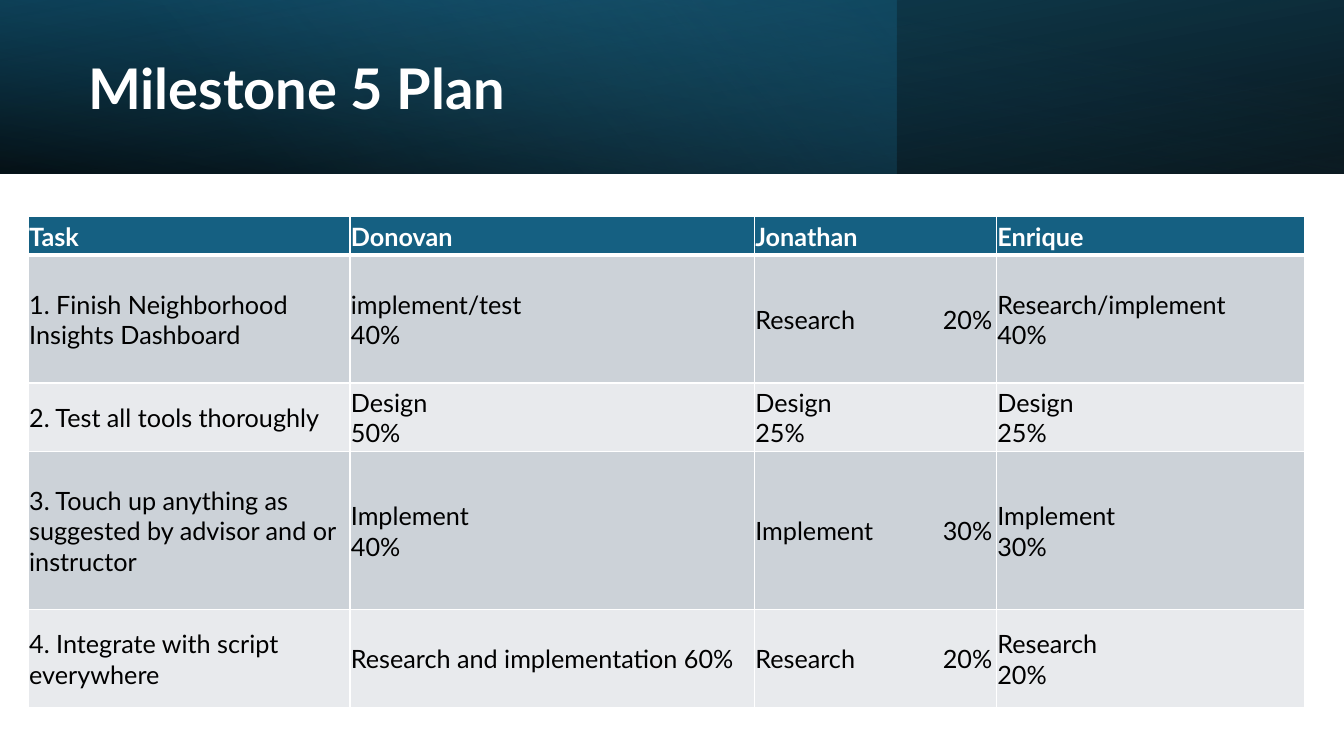
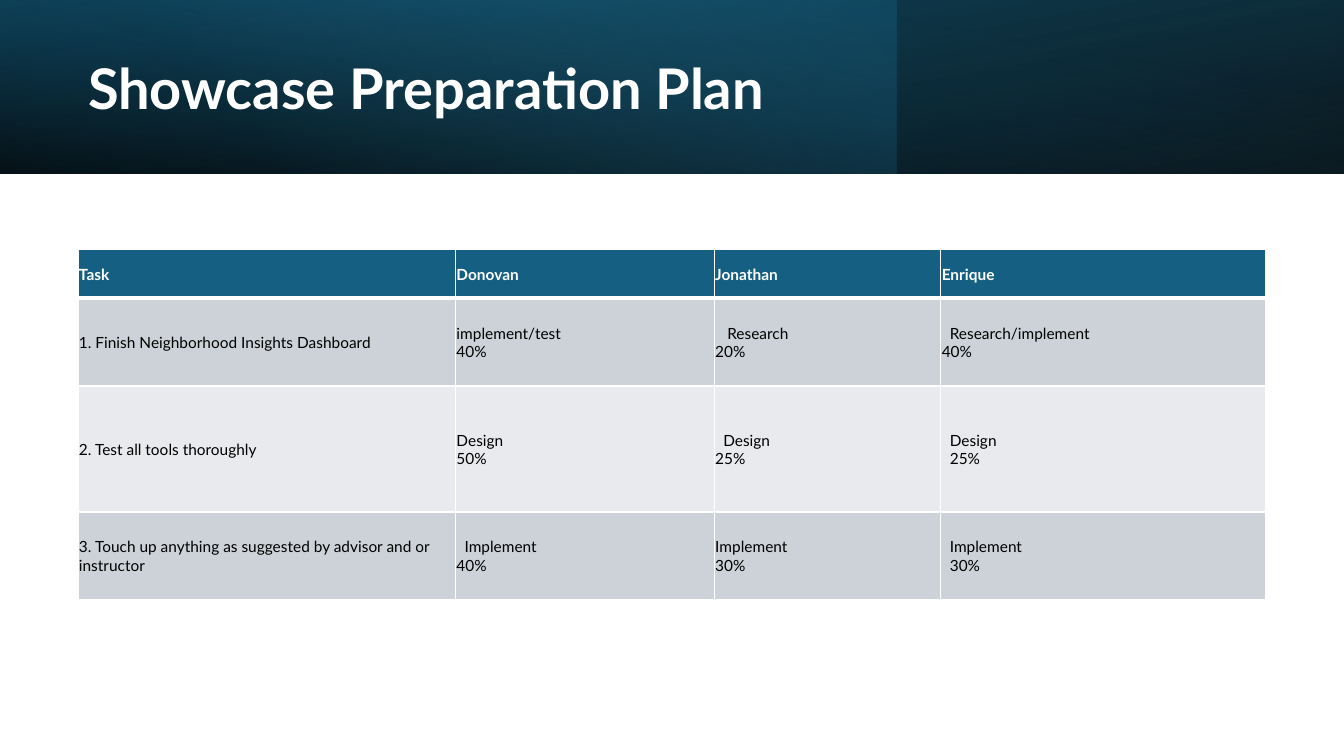
from lxml import etree
from pptx import Presentation
from pptx.dml.color import RGBColor
from pptx.enum.shapes import MSO_SHAPE
from pptx.enum.text import MSO_ANCHOR, MSO_AUTO_SIZE, PP_ALIGN
from pptx.oxml import parse_xml
from pptx.oxml.ns import nsdecls, qn
from pptx.util import Inches, Pt

RECTANGLE = MSO_SHAPE.RECTANGLE
MIDDLE = MSO_ANCHOR.MIDDLE
NO_AUTOFIT = MSO_AUTO_SIZE.NONE
LEFT = PP_ALIGN.LEFT

SLIDE_WIDTH, SLIDE_HEIGHT = Inches(13.33), Inches(7.5)
TITLE_ONLY = 5
FONT = "Lato"
COLORS = {
    "black": "000000",
    "white": "FFFFFF",
    "navy": "104862",
    "teal": "156082",
    "sky": "46B1E1",
    "odd_row": "CCD2D8",
    "even_row": "E8EAED",
}
BAND = (0, 0, 100, 22.93)
TITLE_IN_BAND = (5.8, 15.7, 57.9, 73.8)
BAND_LAYERS = [
    {"width": 100, "stops": [(0, "black", 96), (100, "navy", 100)],
     "angle": 100, "rotation": 180, "flip": True},
    {"width": 66.67, "stops": [(0, "teal", 41), (74, "sky", 0)],
     "angle": 140, "rotation": 0, "flip": False},
    {"width": 100, "stops": [(0, "black", 63), (78, "teal", 15)],
     "angle": 260, "rotation": 0, "flip": True},
]
HEADER = ["Task", "Donovan", "Jonathan", "Enrique"]
DASHBOARD = "1. Finish Neighborhood Insights Dashboard"
TESTING = "2. Test all tools thoroughly"
TOUCH_UP = "3. Touch up anything as suggested by advisor and or instructor"

PLANS = [
    {
        "title": "Milestone 5 Plan",
        "box": (2.1, 28.67, 95, 64.93),
        "columns": [3.19, 4.01, 2.4, 3.06],
        "row_heights": [0.38, 1.27, 0.68, 1.57, 0.97],
        "size": 18,
        "rows": [
            HEADER,
            [DASHBOARD, "implement/test\n40%", "Research\t20%", "Research/implement\n40%"],
            [TESTING, "Design\n50%", "Design\n25%", "Design\n25%"],
            [TOUCH_UP, "Implement\n40%", "Implement\t30%", "Implement\n30%"],
            ["4. Integrate with script everywhere", "Research and implementation 60%",
             "Research\t20%", "Research\n20%"],
        ],
        "indents": {},
    },
    {
        "title": "Showcase Preparation Plan",
        "box": (5.8, 32.93, 88.4, 46.4),
        "columns": [3.75, 2.57, 2.25, 3.23],
        "row_heights": [0.49, 0.87, 1.25, 0.87],
        "size": 11,
        "rows": [
            HEADER,
            [DASHBOARD, "implement/test\n40%", "Research\n20%", "Research/implement\n40%"],
            [TESTING, "Design\n50%", "Design\n25%", "Design\n25%"],
            [TOUCH_UP, "Implement\n40%", "Implement\n30%", "Implement\n30%"],
        ],
        "indents": {
            (1, 2): (0.12, 0), (1, 3): (0.08, 0),
            (2, 2): (0.08, 0), (2, 3): (0.08, 0.08),
            (3, 1): (0.08, 0), (3, 3): (0.08, 0.08),
        },
    },
]


def rgb(name):
    return RGBColor.from_string(COLORS[name])


def inside(box, shares):
    left, top, width, height = box
    x, y, w, h = shares
    return (round(left + width * x / 100), round(top + height * y / 100),
            round(width * w / 100), round(height * h / 100))


def style_text(paragraph, size, color, bold):
    paragraph.alignment = LEFT
    font = paragraph.font
    font.name, font.size, font.bold = FONT, Pt(size), bold
    font.color.rgb = rgb(color)


def fill_gradient(shape, stops, angle):
    stops_xml = "".join(
        f'<a:gs pos="{position * 1000}"><a:srgbClr val="{COLORS[color]}">'
        f'<a:alpha val="{opacity * 1000}"/></a:srgbClr></a:gs>'
        for position, color, opacity in stops)
    gradient = parse_xml(
        f'<a:gradFill {nsdecls("a")} rotWithShape="1"><a:gsLst>{stops_xml}</a:gsLst>'
        f'<a:lin ang="{angle * 60000}" scaled="0"/></a:gradFill>')
    shape.element.spPr.find(qn("a:prstGeom")).addnext(gradient)


def add_title_band(slide, box, text):
    title = slide.shapes.title
    for layer in BAND_LAYERS:
        band = slide.shapes.add_shape(RECTANGLE, *inside(box, (0, 0, layer["width"], 100)))
        band.shadow.inherit = False
        band.line.fill.background()
        band.rotation = layer["rotation"]
        if layer["flip"]:
            band.element.spPr.find(qn("a:xfrm")).set("flipH", "1")
        fill_gradient(band, layer["stops"], layer["angle"])
        band.element.addnext(title.element)
    title.left, title.top, title.width, title.height = inside(box, TITLE_IN_BAND)
    frame = title.text_frame
    frame.text = text
    frame.auto_size = NO_AUTOFIT
    frame.vertical_anchor = MIDDLE
    heading = frame.paragraphs[0]
    heading.line_spacing = 0.9
    style_text(heading, 40, "white", True)


def add_borders(cell, row):
    widths = {"lnL": 1, "lnR": 1, "lnT": 3 if row == 1 else 1, "lnB": 3 if row == 0 else 1}
    properties = cell._tc.get_or_add_tcPr()
    for side, width in widths.items():
        border = etree.SubElement(properties, qn(f"a:{side}"), w=str(Pt(width)))
        solid = etree.SubElement(border, qn("a:solidFill"))
        etree.SubElement(solid, qn("a:srgbClr"), val=COLORS["white"])


def add_right_tab(paragraph, position):
    tabs = etree.Element(qn("a:tabLst"))
    etree.SubElement(tabs, qn("a:tab"), pos=str(position), algn="r")
    paragraph._p.get_or_add_pPr().insert(0, tabs)


def fill_cell(cell, text, row, size, indents, column_width):
    header = row == 0
    cell.margin_left = cell.margin_top = cell.margin_right = Inches(0.01)
    cell.margin_bottom = 0
    cell.vertical_anchor = MIDDLE
    add_borders(cell, row)
    cell.fill.solid()
    cell.fill.fore_color.rgb = rgb("teal" if header else "odd_row" if row % 2 else "even_row")
    cell.text_frame.text = text
    for paragraph, indent in zip(cell.text_frame.paragraphs, indents):
        style_text(paragraph, size, "white" if header else "black", header)
        if indent:
            paragraph._p.get_or_add_pPr().set("marL", str(Inches(indent)))
        if "\t" in text:
            add_right_tab(paragraph, column_width - Inches(0.05))


def add_plan_table(slide, box, plan):
    columns, heights = plan["columns"], plan["row_heights"]
    table = slide.shapes.add_table(len(heights), len(columns), *box).table
    table.horz_banding = False
    for column, share in zip(table.columns, columns):
        column.width = round(box[2] * share / sum(columns))
    for row, share in zip(table.rows, heights):
        row.height = round(box[3] * share / sum(heights))
    for r, texts in enumerate(plan["rows"]):
        for c, text in enumerate(texts):
            fill_cell(table.cell(r, c), text, r, plan["size"],
                      plan["indents"].get((r, c), (0, 0)), table.columns[c].width)


def add_plan_slide(deck, plan):
    slide = deck.slides.add_slide(deck.slide_layouts[TITLE_ONLY])
    page = (0, 0, SLIDE_WIDTH, SLIDE_HEIGHT)
    add_title_band(slide, inside(page, BAND), plan["title"])
    add_plan_table(slide, inside(page, plan["box"]), plan)


def main():
    deck = Presentation()
    deck.slide_width, deck.slide_height = SLIDE_WIDTH, SLIDE_HEIGHT
    for plan in PLANS:
        add_plan_slide(deck, plan)
    deck.save("out.pptx")


if __name__ == "__main__":
    main()
